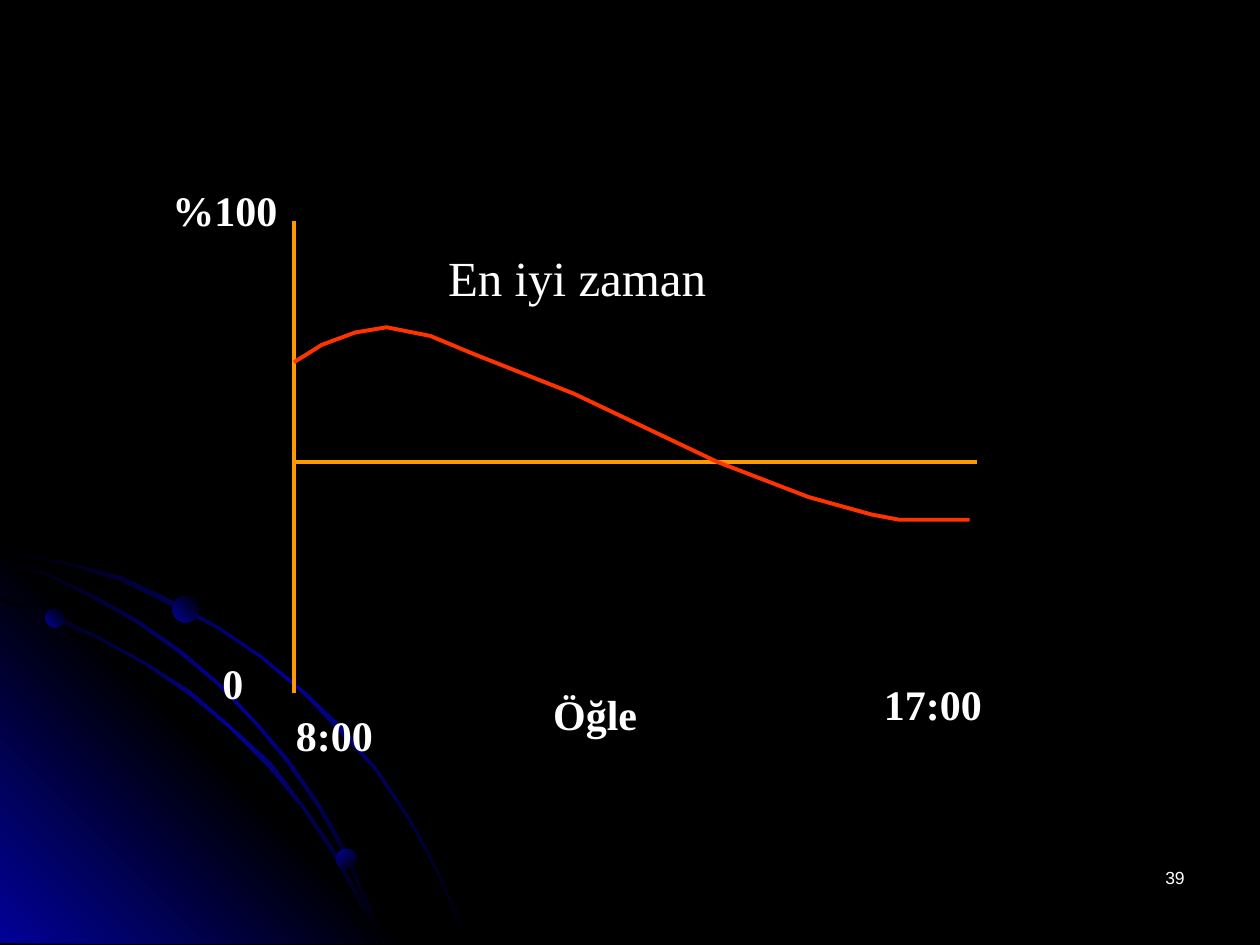
from dataclasses import dataclass
from typing import NamedTuple

from lxml.etree import SubElement
from pptx import Presentation
from pptx.dml.color import RGBColor as Rgb
from pptx.enum.shapes import MSO_CONNECTOR as Connector, MSO_SHAPE as Preset
from pptx.enum.text import MSO_AUTO_SIZE as AutoSize, PP_ALIGN as Align
from pptx.oxml.ns import qn
from pptx.util import Pt

Point = tuple[float, float]


@dataclass(frozen=True)
class Theme:
    background: str = "000000"
    glow: str = "010199"
    text: str = "FFFFFF"
    axis: str = "FF9900"
    curve: str = "FF3300"
    serif: str = "Times New Roman"
    sans: str = "Arial"
    heading_size: float = 28
    label_size: float = 24
    number_size: float = 10
    line_width: float = 2.25


THEME = Theme()
FADE_IN_OUT = (THEME.background, THEME.glow, THEME.background)
GLOW_AT_ENDS = (THEME.glow, THEME.background, THEME.glow)
GLOW_TO_DARK = (THEME.glow, THEME.background)


class Label(NamedTuple):
    text: str
    left: float
    top: float
    width: float
    height: float = 36
    size: float = THEME.label_size
    bold: bool = True
    font: str = THEME.serif
    align: Align = Align.LEFT


class Planet(NamedTuple):
    left: float
    top: float
    size: float
    angle: float


class Axis(NamedTuple):
    start: Point
    end: Point


ORBIT_BOTTOM = 539.3
OUTER_ORBIT = [
    (0, 313.2), (20.2, 317.5), (41, 321.8), (70.6, 330.5), (97.9, 343.4),
    (125.3, 357.8), (150.5, 375.1), (174.2, 394.6), (195.8, 416.2),
    (216, 439.9), (234, 466.6), (244.1, 484.6), (253.4, 502.6),
    (260.6, 520.6), (267.8, ORBIT_BOTTOM),
]
INNER_ORBIT = [
    (0, 342), (29.5, 351.4), (56.9, 363.6), (84.2, 378.7), (109.4, 395.3),
    (132.5, 414.7), (154.8, 436.3), (174.2, 460.8), (191.5, 486.7),
    (205.9, 512.6), (213.1, 525.6), (218.2, ORBIT_BOTTOM),
]
MIDDLE_ORBIT = [
    (0, 318.2), (28.1, 327.6), (54.7, 340.6), (79.9, 355), (103.7, 371.5),
    (126, 391), (146.9, 412.6), (164.9, 434.2), (182.9, 460.1),
    (193.7, 478.8), (203, 499), (211.7, 518.4), (218.2, ORBIT_BOTTOM),
]
CORNER = [(0, 307.5), (231.8, ORBIT_BOTTOM), (0, ORBIT_BOTTOM)]
PLANETS = [
    Planet(25.9, 347.8, 10.8, 315),
    Planet(192.2, 485.3, 11.5, 45),
    Planet(98.6, 340.6, 15.1, 315),
]
LABELS = [
    Label("39", 516, 492, 168, size=THEME.number_size, bold=False,
          font=THEME.sans, align=Align.RIGHT),
    Label("%100", 91.5, 102, 78),
    Label("0", 120, 372, 30),
    Label("8:00", 162, 402, 66),
    Label("Öğle", 309, 390, 102),
    Label("17:00", 498, 384, 78),
]
HEADING = Label("En iyi zaman", 249, 138, 222, 41,
                size=THEME.heading_size, bold=False)
AXES = [Axis((168, 126), (168, 396)), Axis((168, 264), (558, 264))]
ENERGY_CURVE = [
    (168, 207.4), (183.6, 196.6), (203, 190.1), (221, 187.2), (245.5, 192.2),
    (270, 201.6), (327.6, 224.6), (410.4, 264.2), (461.5, 283.7),
    (497.5, 293.8), (514.1, 296.6), (554.4, 296.6),
]


def fill_gradient(shape, colors: tuple[str, ...], angle: float) -> None:
    """Spread the colours evenly; the angle runs clockwise."""
    shape.fill.gradient()
    shape.fill.gradient_angle = 360 - angle
    stops = shape.element.spPr.find(".//" + qn("a:gsLst"))
    stops.clear()
    for index, color in enumerate(colors):
        position = 100000 * index // (len(colors) - 1)
        stop = SubElement(stops, qn("a:gs"), pos=str(position))
        SubElement(stop, qn("a:srgbClr"), val=color)
    shape.line.fill.background()
    shape.shadow.inherit = False


def style_line(line, color: str) -> None:
    line.color.rgb = Rgb.from_string(color)
    line.width = Pt(THEME.line_width)


def add_outline(page, points: list[Point], close: bool):
    builder = page.shapes.build_freeform(*points[0], scale=Pt(1))
    builder.add_line_segments(points[1:], close=close)
    return builder.convert_to_shape()


def orbit_band(edge: list[Point], thickness: float = 1.4) -> list[Point]:
    """Close an outer edge with a parallel inner edge, kept on the page."""
    inner = [(max(x - thickness, 0), min(y + thickness, ORBIT_BOTTOM))
             for x, y in reversed(edge)]
    return edge + inner


def add_planet(page, planet: Planet) -> None:
    left, top, size = Pt(planet.left), Pt(planet.top), Pt(planet.size)
    disc = page.shapes.add_shape(Preset.OVAL, left, top, size, size)
    fill_gradient(disc, GLOW_TO_DARK, planet.angle)


def add_label(page, label: Label) -> None:
    box = page.shapes.add_textbox(Pt(label.left), Pt(label.top),
                                  Pt(label.width), Pt(label.height))
    frame = box.text_frame
    frame.word_wrap = True
    frame.auto_size = AutoSize.SHAPE_TO_FIT_TEXT
    para = frame.paragraphs[0]
    para.text = label.text
    para.alignment = label.align
    para.font.name = label.font
    para.font.size = Pt(label.size)
    para.font.bold = label.bold
    para.font.color.rgb = Rgb.from_string(THEME.text)


def add_axis(page, axis: Axis) -> None:
    ends = [Pt(value) for value in axis.start + axis.end]
    line = page.shapes.add_connector(Connector.STRAIGHT, *ends)
    style_line(line.line, THEME.axis)
    SubElement(line.element.spPr, qn("a:effectLst"))


def main() -> None:
    deck = Presentation()
    deck.slide_width, deck.slide_height = Pt(720), Pt(540)
    page = deck.slides.add_slide(deck.slide_layouts.get_by_name("Blank"))
    page.background.fill.solid()
    page.background.fill.fore_color.rgb = Rgb.from_string(THEME.background)

    backdrop = [
        (orbit_band(OUTER_ORBIT), FADE_IN_OUT, 45),
        (CORNER, GLOW_AT_ENDS, 315),
        (orbit_band(INNER_ORBIT), FADE_IN_OUT, 45),
        (orbit_band(MIDDLE_ORBIT), FADE_IN_OUT, 45),
    ]
    for points, colors, angle in backdrop:
        fill_gradient(add_outline(page, points, close=True), colors, angle)
    for planet in PLANETS:
        add_planet(page, planet)

    for label in LABELS:
        add_label(page, label)
    for axis in AXES:
        add_axis(page, axis)
    curve = add_outline(page, ENERGY_CURVE, close=False)
    curve.fill.background()
    curve.shadow.inherit = False
    style_line(curve.line, THEME.curve)
    add_label(page, HEADING)
    deck.save("out.pptx")


if __name__ == "__main__":
    main()
